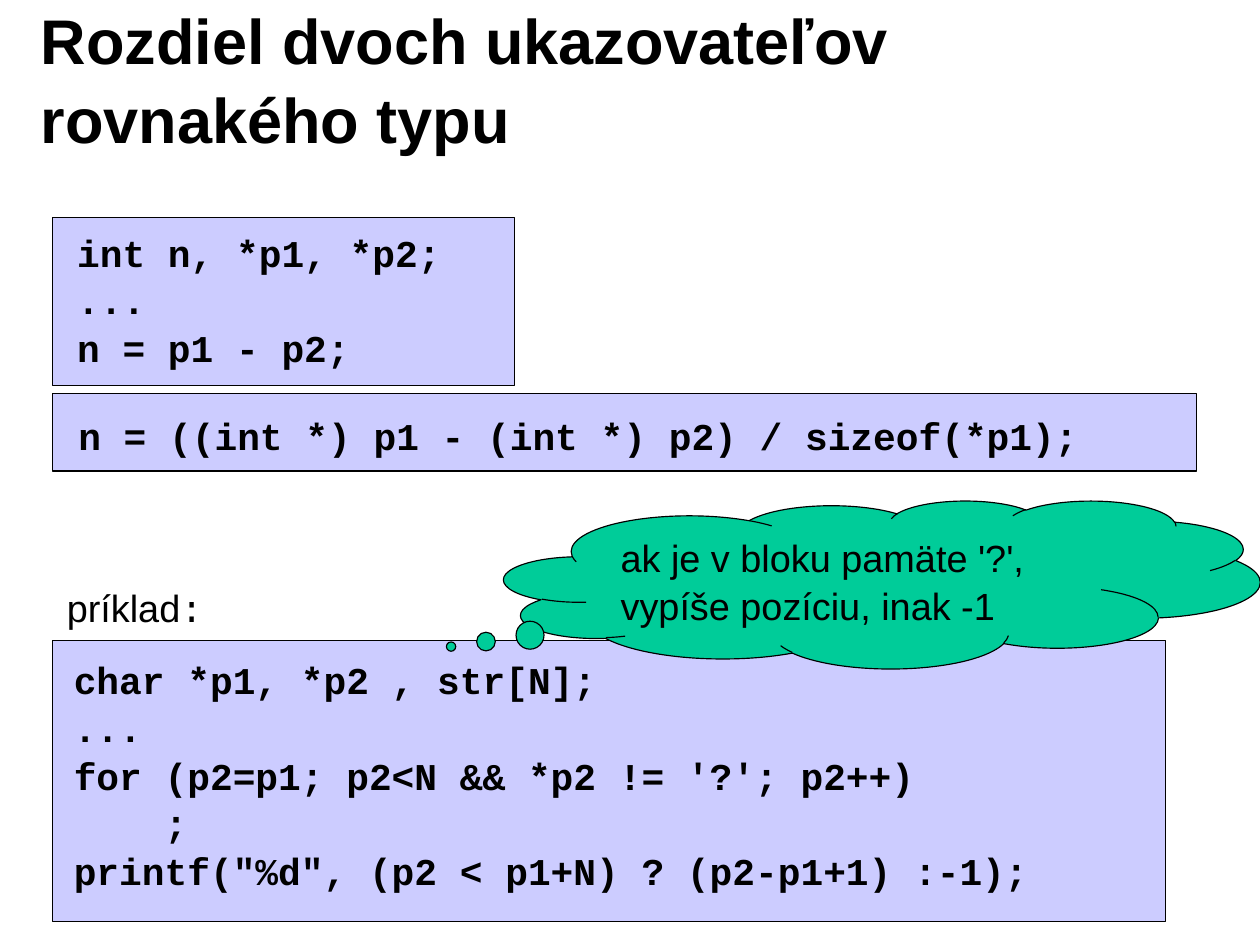
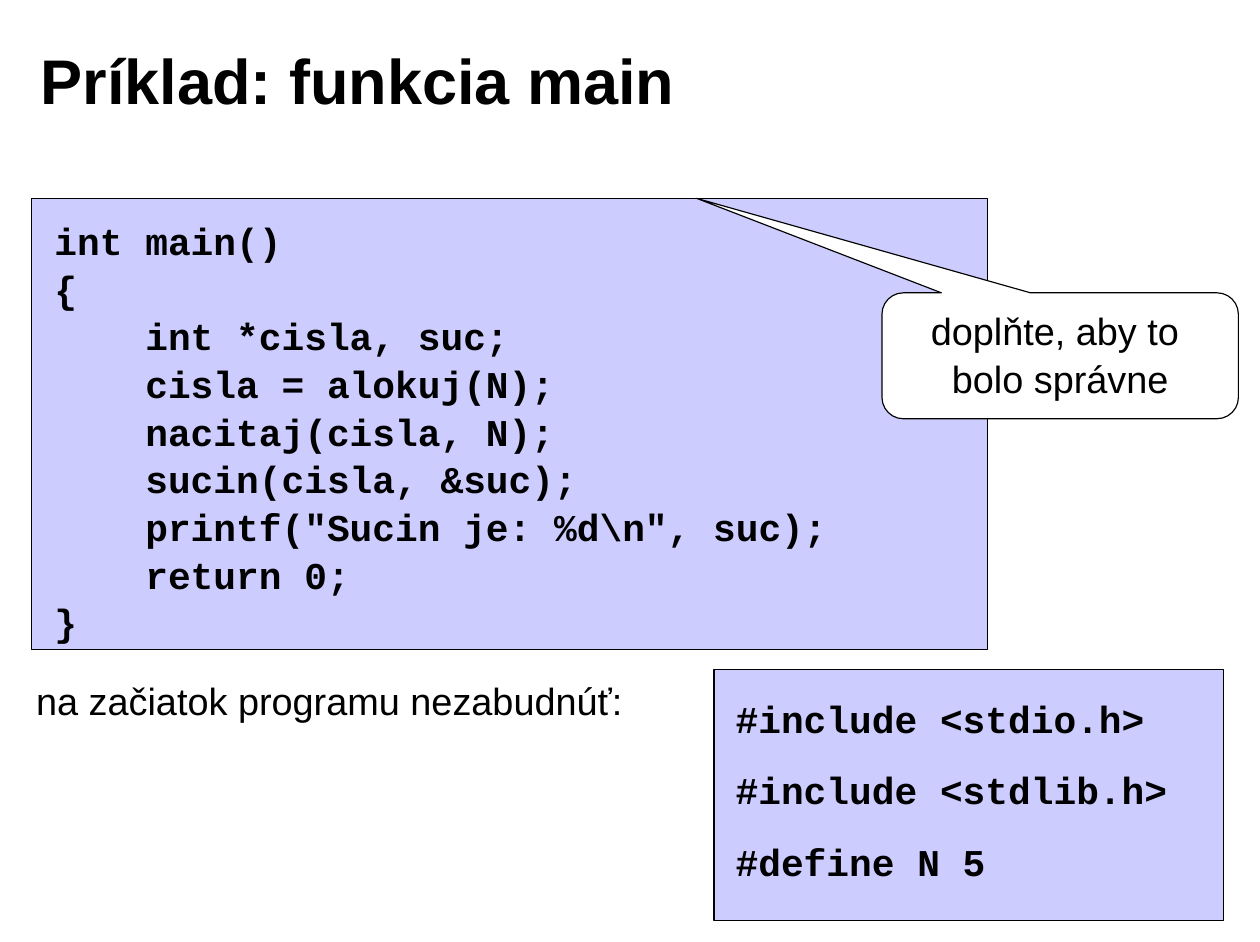
from pptx import Presentation
from pptx.dml.color import RGBColor
from pptx.enum import shapes, text
from pptx.util import Inches, Pt

HUES = {"ink": "000000", "code": "CCCCFF", "cloud": "00CC99", "paper": "FFFFFF"}
SANS, MONO = "Arial", "Courier New"
KINDS = shapes.MSO_SHAPE


def write(frame, lines, left=0.11, top=0.06, size=24, bold=False, gap=0,
          align=text.PP_ALIGN.LEFT, anchor=text.MSO_ANCHOR.TOP):
    """Fill a frame; each line is a list of (words, font) runs."""
    frame.word_wrap = True
    frame.auto_size = text.MSO_AUTO_SIZE.NONE
    frame.vertical_anchor = anchor
    frame.margin_left, frame.margin_top = Inches(left), Inches(top)
    frame.margin_right, frame.margin_bottom = Inches(0.11), Inches(0.06)
    for i, line in enumerate(lines):
        para = frame.add_paragraph() if i else frame.paragraphs[0]
        para.alignment = align
        para.line_spacing = 1.05
        para.space_before = Pt(gap if i else 0)
        for words, face in line:
            run = para.add_run()
            run.text = words
            run.font.name, run.font.size, run.font.bold = face, Pt(size), bold
            run.font.color.rgb = RGBColor.from_string(HUES["ink"])


def draw(slide, kind, area, hue, adjust=()):
    """Add a filled shape with a thin dark outline."""
    shape = slide.shapes.add_shape(kind, *map(Inches, area))
    shape.shadow.inherit = False
    shape.fill.solid()
    shape.fill.fore_color.rgb = RGBColor.from_string(HUES[hue])
    shape.line.color.rgb = RGBColor.from_string(HUES["ink"])
    shape.line.width = Pt(0.75)
    for i, value in enumerate(adjust):
        shape.adjustments[i] = value
    return shape


deck = Presentation()
deck.slide_width, deck.slide_height = Inches(11.1), Inches(8.3)
layout = deck.slide_layouts[5]
head = layout.placeholders[0]
head.left, head.top, head.width, head.height = map(Inches, (0.25, 0.17, 8.91, 1.02))

# Code panels: area, left and top inset, gap between lines, code
pages = [
    {
        "title": "Rozdiel dvoch ukazovateľov rovnakého typu",
        "panels": [
            ((0.46, 1.92, 4.07, 1.48), 0.22, 0.08, 0,
             ["int n, *p1, *p2;", "...", "n = p1 - p2;"]),
            ((0.46, 3.47, 10.08, 0.68), 0.23, 0.15, 0,
             ["n = ((int *) p1 - (int *) p2) / sizeof(*p1);"]),
            ((0.46, 5.64, 9.81, 2.48), 0.19, 0.13, 0,
             ["char *p1, *p2 , str[N];",
              "...",
              "for (p2=p1; p2<N && *p2 != '?'; p2++)",
              "    ;",
              'printf("%d", (p2 < p1+N) ? (p2-p1+1) :-1);']),
        ],
        "label": ((0.49, 5.08, 1.6, 0.5), [("príklad", SANS), (":", MONO)]),
        "note": (KINDS.CLOUD_CALLOUT, (4.44, 4.41, 6.66, 1.48), "cloud",
                 (-0.57, 0.37), text.PP_ALIGN.LEFT,
                 ["ak je v bloku pamäte '?',", "vypíše pozíciu, inak -1"]),
    },
    {
        "title": "Príklad: funkcia main",
        "panels": [
            ((0.28, 1.75, 8.42, 3.97), 0.2, 0.15, 0,
             ["int main()",
              "{",
              "    int *cisla, suc;",
              "    cisla = alokuj(N);",
              "    nacitaj(cisla, N);",
              "    sucin(cisla, &suc);",
              '    printf("Sucin je: %d\\n", suc);',
              "    return 0;",
              "}"]),
            ((6.29, 5.9, 4.49, 2.21), 0.19, 0.21, 15,
             ["#include <stdio.h>", "#include <stdlib.h>", "#define N 5"]),
        ],
        "label": ((0.22, 5.9, 6.01, 0.5), [("na začiatok programu nezabudnúť:", SANS)]),
        "note": (KINDS.ROUNDED_RECTANGULAR_CALLOUT, (7.77, 2.58, 3.14, 1.11), "paper",
                 (-1.02, -1.25, 0.17), text.PP_ALIGN.CENTER,
                 ["doplňte, aby to ", "bolo správne"]),
    },
]

for page in pages:
    slide = deck.slides.add_slide(layout)
    write(slide.shapes.title.text_frame, [[(page["title"], SANS)]], size=40,
          bold=True, anchor=text.MSO_ANCHOR.MIDDLE)

    for area, left, top, gap, code in page["panels"]:
        panel = draw(slide, KINDS.RECTANGLE, area, "code")
        write(panel.text_frame, [[(line, MONO)] for line in code],
              left, top, bold=True, gap=gap)

    area, runs = page["label"]
    label = slide.shapes.add_textbox(*map(Inches, area))
    write(label.text_frame, [runs], left=0.1, top=0.05)

    kind, area, hue, adjust, align, lines = page["note"]
    note = draw(slide, kind, area, hue, adjust)
    write(note.text_frame, [[(line, SANS)] for line in lines], align=align)

deck.save("out.pptx")
